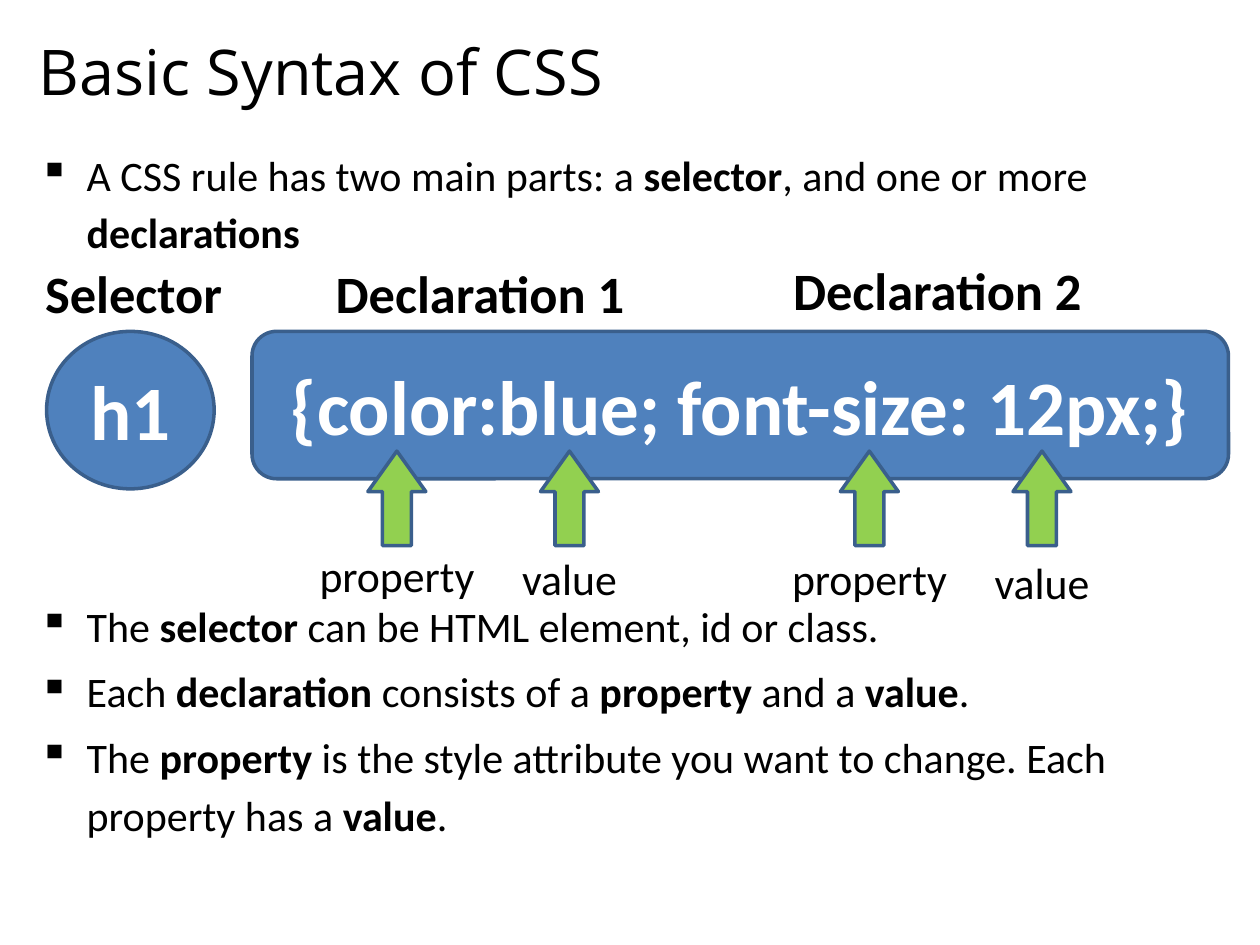
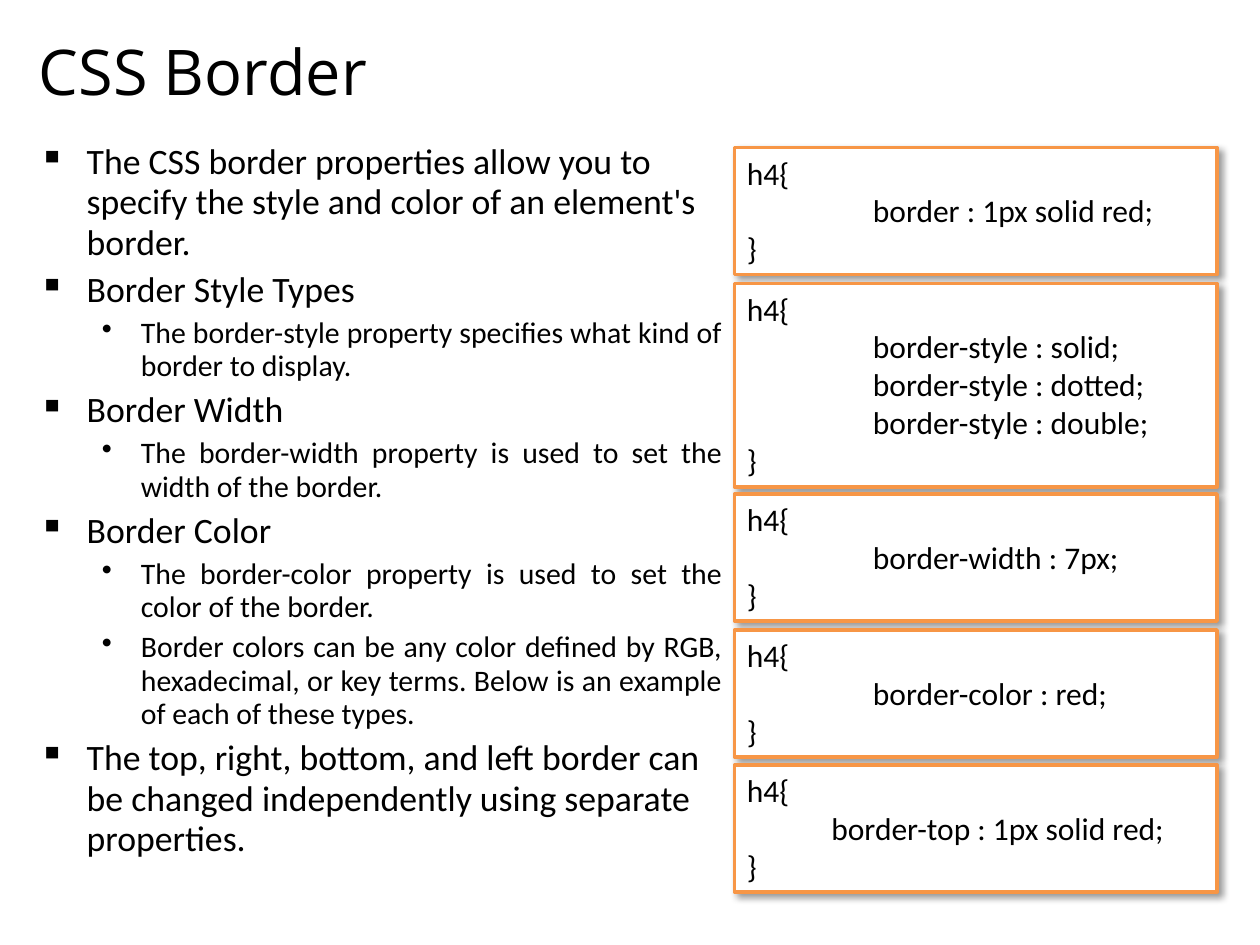
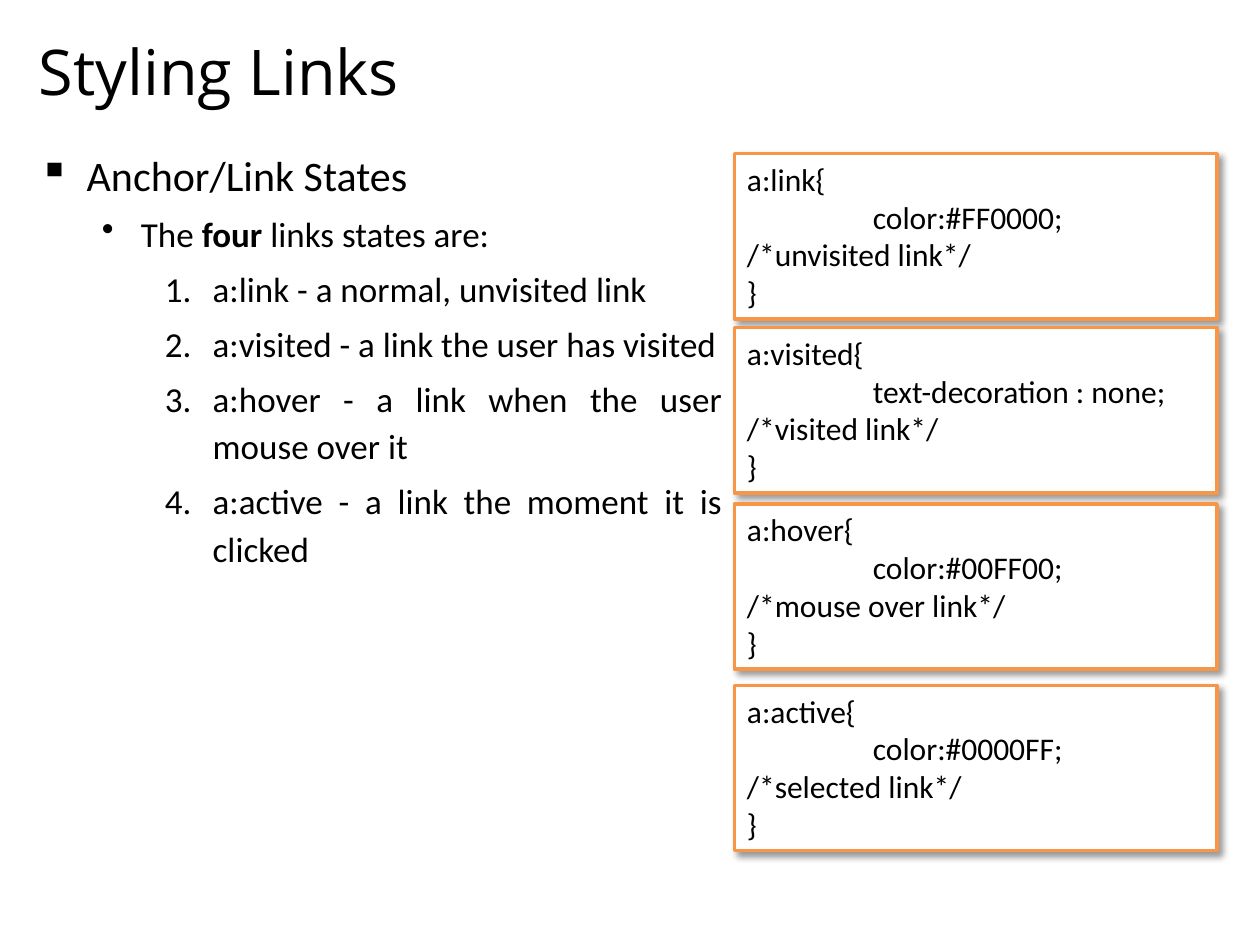
from lxml import etree
from pptx import Presentation
from pptx.dml.color import RGBColor
from pptx.enum import shapes, text
from pptx.oxml import ns
from pptx.util import Inches, Pt

BLACK, WHITE, BLUE, NAVY = "000000", "FFFFFF", "4F81BD", "3A5F8C"
GREEN, ORANGE = "92D050", "F79646"
LEFT, CENTER, JUSTIFY = text.PP_ALIGN.LEFT, text.PP_ALIGN.CENTER, text.PP_ALIGN.JUSTIFY
TOP, MIDDLE = text.MSO_ANCHOR.TOP, text.MSO_ANCHOR.MIDDLE
SHAPE = shapes.MSO_SHAPE
LEVELS = [
    (0.38, -0.38, "buChar", {"char": "▪"}),
    (0.81, -0.31, "buChar", {"char": "•"}),
    (1.38, -0.38, "buAutoNum", {"type": "arabicPeriod"}),
]


def add_box(s, kind, left, top, width, height, fill=None, line=None):
    if kind is None:
        return s.shapes.add_textbox(Inches(left), Inches(top), Inches(width), Inches(height))
    sp = s.shapes.add_shape(kind, Inches(left), Inches(top), Inches(width), Inches(height))
    sp.shadow.inherit = False
    sp.fill.solid()
    sp.fill.fore_color.rgb = RGBColor.from_string(fill)
    sp.line.color.rgb = RGBColor.from_string(line)
    sp.line.width = Pt(2)
    return sp


def write(sp, lines, size, color=BLACK, font="Calibri", bold=None, align=LEFT, anchor=TOP, wrap=True):
    tf = sp.text_frame
    tf.word_wrap = wrap
    tf.vertical_anchor = anchor
    for i, line in enumerate(lines):
        p = tf.paragraphs[0] if i == 0 else tf.add_paragraph()
        p.alignment = align
        p.font.size = Pt(size)
        p.font.name = font
        p.font.bold = bold
        p.font.color.rgb = RGBColor.from_string(color)
        for j, part in enumerate(line.split("|")):
            if part:
                r = p.add_run()
                r.text = part
                if j % 2:
                    r.font.bold = True
    return tf.paragraphs


slides = [
    ("Basic Syntax of CSS", 9.58, 1.14, (24,), [
        (0, "A CSS rule has two main parts: a |selector|, and one or more |declarations|"),
        (0, "The |selector |can be HTML element, id or class."),
        (0, "Each |declaration| consists of a |property| and a |value|."),
        (0, "The |property| is the style attribute you want to change. Each property has a |value|."),
    ], []),
    ("CSS Border", 5.62, 0.94, (20.4, 17), [
        (0, "The CSS border properties allow you to specify the style and color of an element's border."),
        (0, "Border Style Types"),
        (1, "The border-style property specifies what kind of border to display."),
        (0, "Border Width"),
        (1, "The border-width property is used to set the width of the border."),
        (0, "Border Color"),
        (1, "The border-color property is used to set the color of the border."),
        (1, "Border colors can be any color defined by RGB, hexadecimal, or key terms. "
            "Below is an example of each of these types."),
        (0, "The top, right, bottom, and left border can be changed independently using separate properties."),
    ], [
        (1.17, 1, ["h4{", "border : 1px solid red;", "}"]),
        (2.25, 1, ["h4{", "border-style : solid;", "border-style : dotted;", "border-style : double;", "}"]),
        (3.92, 1, ["h4{", "border-width : 7px;", "}"]),
        (5, 1, ["h4{", "border-color : red;", "}"]),
        (6.07, 0.67, ["h4{", "border-top : 1px solid red;", "}"]),
    ]),
    ("Styling Links", 5.62, 1.14, (24, 20, 20), [
        (0, "Anchor/Link States"),
        (1, "The |four| links states are:"),
        (2, "a:link - a normal, unvisited link"),
        (2, "a:visited - a link the user has visited"),
        (2, "a:hover - a link when the user mouse over it"),
        (2, "a:active - a link the moment it is clicked"),
    ], [
        (1.22, 1, ["a:link{", "color:#FF0000;", "/*unvisited link*/", "}"]),
        (2.6, 1, ["a:visited{", "text-decoration : none;", "/*visited link*/", "}"]),
        (4, 1, ["a:hover{", "color:#00FF00;", "/*mouse over link*/", "}"]),
        (5.44, 1, ["a:active{", "color:#0000FF;", "/*selected link*/", "}"]),
    ]),
]

prs = Presentation()
prs.slide_width, prs.slide_height = Inches(10), Inches(7.5)

for title, width, spacing, sizes, body, codes in slides:
    s = prs.slides.add_slide(prs.slide_layouts[6])
    write(add_box(s, None, 0.21, 0.12, 9.58, 0.88), [title], 36, font="Open Sans", anchor=MIDDLE)

    paragraphs = write(add_box(s, None, 0.21, 1.08, width, 5.9), [line for level, line in body], sizes[0])
    for p, (level, line) in zip(paragraphs, body):
        p.level = level
        p.alignment = JUSTIFY if level else LEFT
        p.font.size = Pt(sizes[level])
        p.line_spacing = spacing
        p.space_before = Pt(0.2 * sizes[level])
        margin, indent, bullet, attributes = LEVELS[level]
        pPr = p._p.get_or_add_pPr()
        pPr.set("marL", str(Inches(margin)))
        pPr.set("indent", str(Inches(indent)))
        pPr.find(ns.qn("a:defRPr")).addprevious(etree.Element(ns.qn("a:" + bullet), attributes))

    for top, indent, code in codes:
        sp = add_box(s, SHAPE.RECTANGLE, 5.83, top, 3.83, 0.1 + 0.303 * len(code), WHITE, ORANGE)
        effects = sp._element.spPr.find(ns.qn("a:effectLst"))
        shadow = etree.SubElement(effects, ns.qn("a:outerShdw"), blurRad=str(Pt(4)), dist=str(Pt(3)),
                                  dir="2700000", algn="tl", rotWithShape="0")
        tint = etree.SubElement(shadow, ns.qn("a:srgbClr"), val=BLACK)
        etree.SubElement(tint, ns.qn("a:alpha"), val="40000")
        for p, line in zip(write(sp, code, 18), code):
            if line.endswith(";"):
                p._p.get_or_add_pPr().set("marL", str(Inches(indent)))

s = prs.slides[0]
s.shapes[1].text_frame.paragraphs[1].space_before = Pt(192)

for kind, left, width, height, code in [
    (SHAPE.OVAL, 0.37, 1.33, 1.25, "h1"),
    (SHAPE.ROUNDED_RECTANGLE, 2, 7.75, 1.17, "{color:blue; font-size: 12px;}"),
]:
    sp = add_box(s, kind, left, 2.63, width, height, BLUE, NAVY)
    write(sp, [code], 44, WHITE, bold=True, align=CENTER, anchor=MIDDLE, wrap=False)

for left, top, width, label in [
    (0.25, 2.02, 1.62, "Selector"),
    (2.55, 2.02, 2.52, "Declaration 1"),
    (6.18, 2, 2.52, "Declaration 2"),
]:
    write(add_box(s, None, left, top, width, 0.61), [label], 30, bold=True, align=CENTER, wrap=False)

for center, top, width, label in [
    (3.15, 4.31, 1.45, "property"),
    (4.52, 4.33, 0.96, "value"),
    (6.9, 4.33, 1.45, "property"),
    (8.27, 4.36, 0.96, "value"),
]:
    sp = add_box(s, SHAPE.UP_ARROW, center - 0.23, 3.58, 0.46, 0.75, GREEN, NAVY)
    sp.adjustments[1] = 0.7
    write(add_box(s, None, center - width / 2, top, width, 0.52), [label], 25, align=CENTER, wrap=False)

prs.save("out.pptx")
